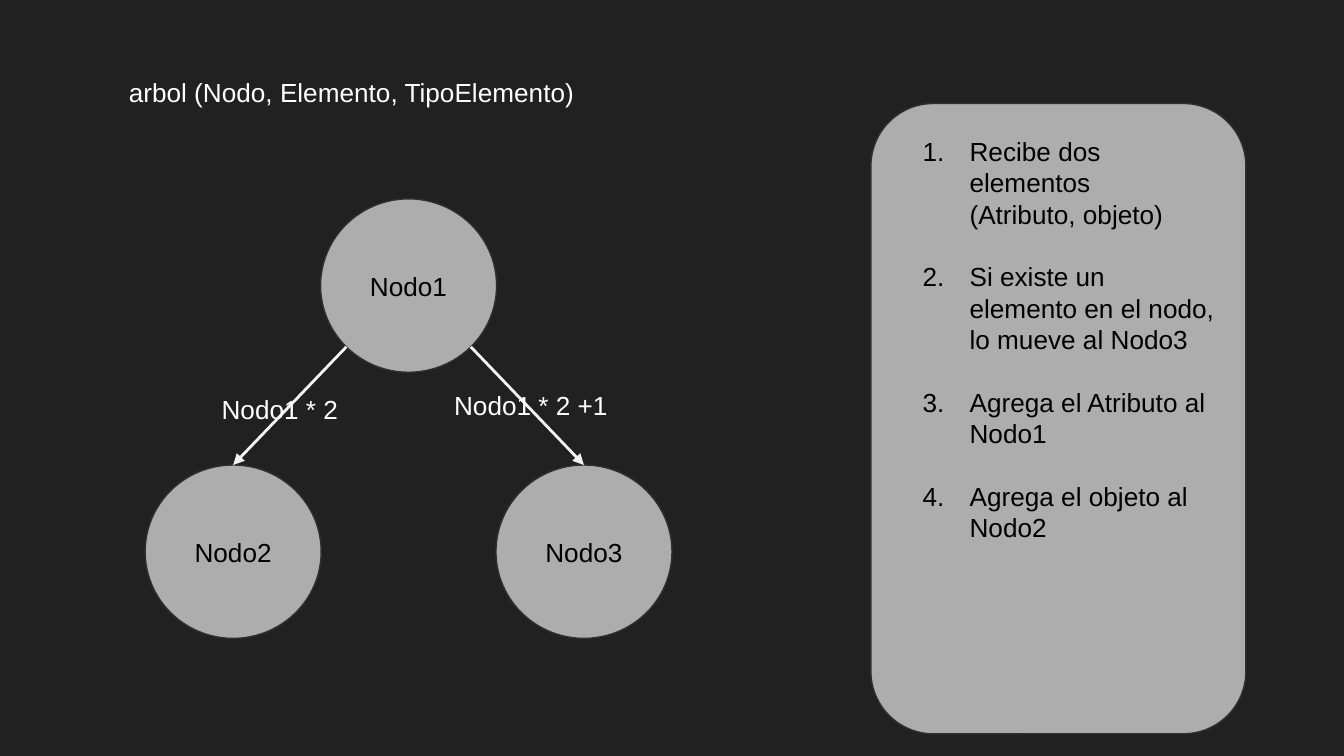
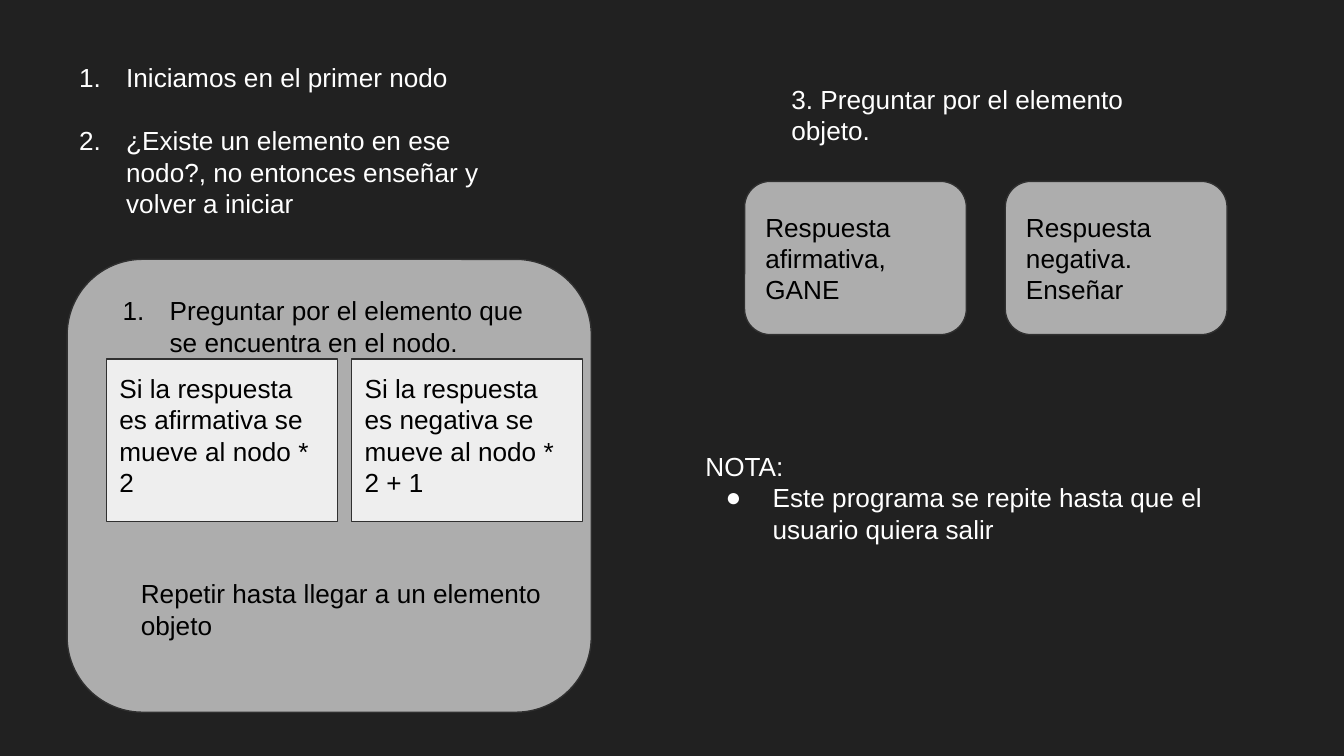
from dataclasses import dataclass
from math import sqrt

from lxml.etree import SubElement
from pptx import Presentation
from pptx.dml.color import RGBColor
from pptx.enum.shapes import MSO_CONNECTOR, MSO_SHAPE
from pptx.enum.text import MSO_ANCHOR, MSO_AUTO_SIZE, PP_ALIGN
from pptx.oxml.ns import qn
from pptx.shapes.autoshape import Shape
from pptx.slide import Slide
from pptx.util import Emu, Inches, Pt

COLUMNS, ROWS = 100, 56.25
CELL = Inches(10) / COLUMNS

BACKGROUND = "212121"
GREY = "ADADAD"
PALE = "EEEEEE"
OUTLINE = "303030"
ARROW = "F3F3F3"
WHITE = "FFFFFF"
BLACK = "000000"

FONT_FORMAT = {"name": "Arial", "size": Pt(14)}
FRAME_FORMAT = {
    "word_wrap": True,
    "margin_left": Inches(0.1),
    "margin_top": Inches(0.1),
    "margin_right": Inches(0.1),
    "margin_bottom": Inches(0.1),
}
LINE_GAP = Pt(16.8)
LIST_INDENT = Inches(0.5)
LIST_HANG = Inches(-0.35)


@dataclass(frozen=True)
class Area:
    column: float
    row: float
    columns: float
    rows: float

    def lengths(self) -> list[Emu]:
        return [cells(value) for value in (self.column, self.row, self.columns, self.rows)]


@dataclass(frozen=True)
class Line:
    text: str
    number: int = 0
    bullet: str = ""
    indented: bool = False
    gap_before: bool = False


@dataclass(frozen=True)
class Label:
    area: Area
    lines: tuple[Line, ...]
    color: str = WHITE


@dataclass(frozen=True)
class Block:
    area: Area
    lines: tuple[Line, ...]
    kind: MSO_SHAPE = MSO_SHAPE.ROUNDED_RECTANGLE
    fill: str = GREY
    anchor: MSO_ANCHOR = MSO_ANCHOR.TOP
    alignment: PP_ALIGN = PP_ALIGN.LEFT


def cells(count: float) -> Emu:
    return Emu(round(count * CELL))


def color_of(value: str) -> RGBColor:
    return RGBColor.from_string(value)


def apply_format(target: object, values: dict) -> None:
    for name, value in values.items():
        setattr(target, name, value)


def mark_paragraph(para, line: Line, color: str) -> None:
    properties = para._p.get_or_add_pPr()
    properties.set("marL", str(LIST_INDENT))
    if line.indented:
        properties.set("indent", "0")
        return
    properties.set("indent", str(LIST_HANG))
    SubElement(SubElement(properties, qn("a:buClr")), qn("a:srgbClr"), val=color)
    SubElement(properties, qn("a:buFont"), typeface=FONT_FORMAT["name"])
    if line.number:
        SubElement(properties, qn("a:buAutoNum"), type="arabicPeriod", startAt=str(line.number))
    else:
        SubElement(properties, qn("a:buChar"), char=line.bullet)


def write_lines(box: Shape, lines: tuple[Line, ...], color: str, alignment: PP_ALIGN) -> None:
    frame = box.text_frame
    apply_format(frame, FRAME_FORMAT)
    for index, line in enumerate(lines):
        para = frame.add_paragraph() if index else frame.paragraphs[0]
        para.alignment = alignment
        if line.gap_before:
            para.space_before = LINE_GAP
        if line.number or line.bullet or line.indented:
            mark_paragraph(para, line, color)
        span = para.add_run()
        span.text = line.text
        apply_format(span.font, FONT_FORMAT)
        span.font.color.rgb = color_of(color)


def draw_label(page: Slide, label: Label) -> None:
    box = page.shapes.add_textbox(*label.area.lengths())
    write_lines(box, label.lines, label.color, PP_ALIGN.LEFT)
    box.text_frame.auto_size = MSO_AUTO_SIZE.SHAPE_TO_FIT_TEXT


def draw_block(page: Slide, block: Block) -> Shape:
    box = page.shapes.add_shape(block.kind, *block.area.lengths())
    box.shadow.inherit = False
    box.fill.solid()
    box.fill.fore_color.rgb = color_of(block.fill)
    box.line.color.rgb = color_of(OUTLINE)
    box.line.width = Pt(0.75)
    write_lines(box, block.lines, BLACK, block.alignment)
    box.text_frame.vertical_anchor = block.anchor
    return box


def draw_branch(page: Slide, parent: Shape, child: Shape) -> None:
    side = 1 if child.left > parent.left else -1
    reach = sqrt(0.5) / 2
    start_x = Emu(round(parent.left + parent.width * (0.5 + side * reach)))
    start_y = Emu(round(parent.top + parent.height * (0.5 + reach)))
    branch = page.shapes.add_connector(
        MSO_CONNECTOR.STRAIGHT, start_x, start_y, child.left + child.width // 2, child.top
    )
    branch.end_connect(child, 0)
    branch.line.color.rgb = color_of(ARROW)
    branch.line.width = Pt(1.5)
    SubElement(branch.line._get_or_add_ln(), qn("a:tailEnd"), type="triangle")
    SubElement(branch._element.spPr, qn("a:effectLst"))


def add_page(deck) -> Slide:
    page = deck.slides.add_slide(deck.slide_layouts[6])
    page.background.fill.solid()
    page.background.fill.fore_color.rgb = color_of(BACKGROUND)
    return page


NODE_COLUMN, NODE_STEP = 10.8, 13.05
PARENT_ROW, CHILD_ROW = 14.8, 34.6
NODE_PLACES = (("Nodo1", 1, PARENT_ROW), ("Nodo2", 0, CHILD_ROW), ("Nodo3", 2, CHILD_ROW))
NODES = tuple(
    Block(
        Area(NODE_COLUMN + step * NODE_STEP, row, 13.1, 12.9),
        (Line(name),),
        MSO_SHAPE.FLOWCHART_CONNECTOR,
        anchor=MSO_ANCHOR.MIDDLE,
        alignment=PP_ALIGN.CENTER,
    )
    for name, step, row in NODE_PLACES
)

TREE_TITLE = Label(Area(8.6, 4.7, 79.5, 4.4), (Line("arbol (Nodo, Elemento, TipoElemento)"),))
TREE_STEPS = Block(
    Area(64.8, 7.7, 27.9, 46.9),
    (
        Line("Recibe dos elementos", number=1),
        Line("(Atributo, objeto)", indented=True),
        Line("Si existe un elemento en el nodo, lo mueve al Nodo3", number=2, gap_before=True),
        Line("Agrega el Atributo al Nodo1", number=3, gap_before=True),
        Line("Agrega el objeto al Nodo2", number=4, gap_before=True),
    ),
)
BRANCH_LABELS = (
    Label(Area(15.5, 28.3, 10.8, 4.4), (Line("Nodo1 * 2"),)),
    Label(Area(32.8, 28, 14.9, 4.4), (Line("Nodo1 * 2 +1"),)),
)

QUESTION_PANEL = Block(
    Area(5, 19.3, 39, 33.7),
    (Line("Preguntar por el elemento que se encuentra en el nodo.", number=1),),
)
MOVE_TEXTS = (
    "Si la respuesta es afirmativa se mueve al nodo * 2",
    "Si la respuesta es negativa se mueve al nodo * 2 + 1",
)
MOVES = tuple(
    Block(Area(7.9 + index * 18.25, 26.7, 17.2, 12.1), (Line(text),), MSO_SHAPE.RECTANGLE, PALE)
    for index, text in enumerate(MOVE_TEXTS)
)
ANSWER_LINES = (
    (Line("Respuesta afirmativa, GANE"),),
    (Line("Respuesta negativa."), Line("Enseñar")),
)
ANSWERS = tuple(
    Block(Area(55.4 + index * 19.4, 13.5, 16.5, 11.4), lines, anchor=MSO_ANCHOR.MIDDLE)
    for index, lines in enumerate(ANSWER_LINES)
)
GAME_LABELS = (
    Label(
        Area(3.4, 3.6, 36.9, 18.5),
        (
            Line("Iniciamos en el primer nodo", number=1),
            Line(
                "¿Existe un elemento en ese nodo?, no entonces enseñar y volver a iniciar",
                number=2,
                gap_before=True,
            ),
        ),
    ),
    Label(Area(57.9, 5.2, 31.9, 11.4), (Line("3. Preguntar por el elemento objeto."),)),
    Label(
        Area(51.5, 32.5, 42.2, 9.1),
        (
            Line("NOTA:"),
            Line("Este programa se repite hasta que el usuario quiera salir", bullet="●"),
        ),
    ),
)
REPEAT_LABEL = Label(
    Area(9.5, 42, 32.7, 6.7), (Line("Repetir hasta llegar a un elemento objeto"),), BLACK
)


def build_tree_page(deck) -> None:
    page = add_page(deck)
    draw_label(page, TREE_TITLE)
    parent, *children = [draw_block(page, node) for node in NODES]
    draw_block(page, TREE_STEPS)
    for child in children:
        draw_branch(page, parent, child)
    for label in BRANCH_LABELS:
        draw_label(page, label)


def build_game_page(deck) -> None:
    page = add_page(deck)
    for block in (QUESTION_PANEL, *MOVES, *ANSWERS):
        draw_block(page, block)
    for label in (*GAME_LABELS, REPEAT_LABEL):
        draw_label(page, label)


def main() -> None:
    deck = Presentation()
    apply_format(deck, {"slide_width": cells(COLUMNS), "slide_height": cells(ROWS)})
    build_tree_page(deck)
    build_game_page(deck)
    deck.save("out.pptx")


if __name__ == "__main__":
    main()
